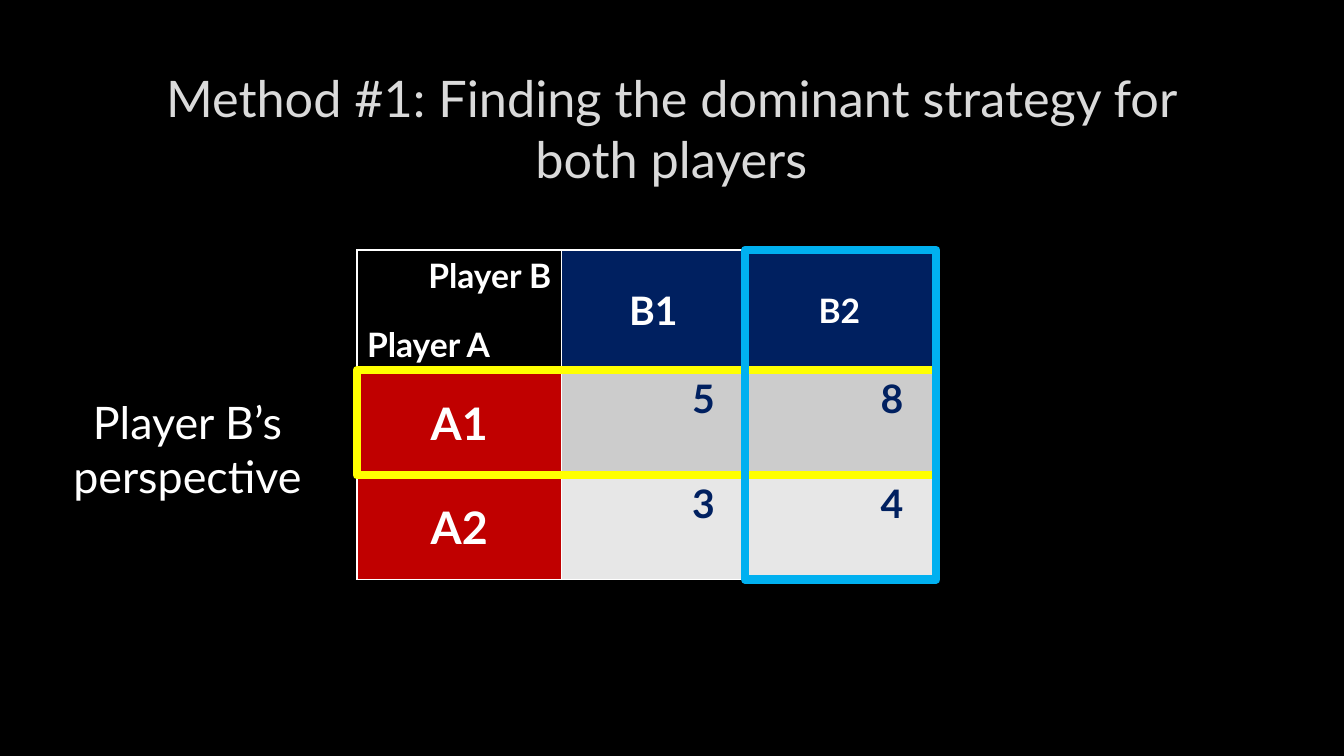
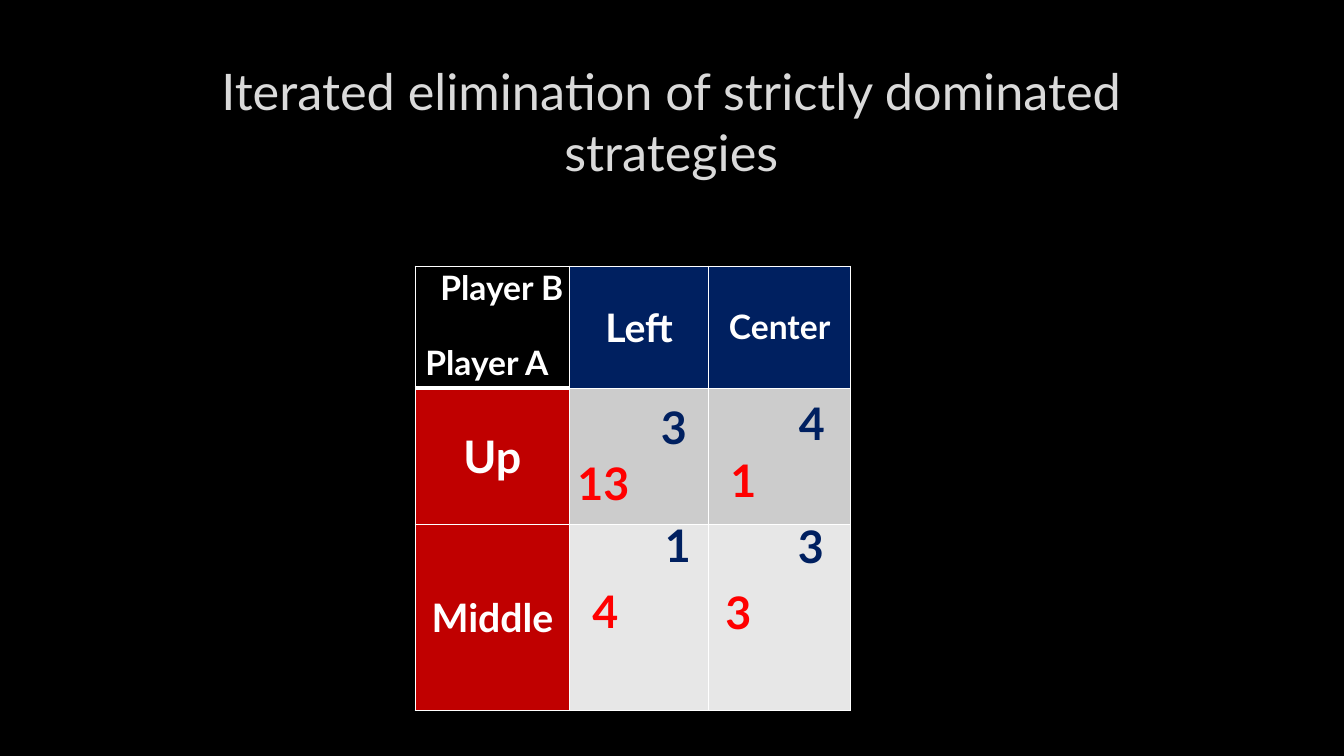
import pptx
import pptx.util
import pptx.dml.color
import pptx.enum.shapes
import pptx.enum.text
import pptx.oxml
import pptx.oxml.ns
from dataclasses import dataclass
from itertools import accumulate

ALIGN = pptx.enum.text.PP_ALIGN
ANCHOR = pptx.enum.text.MSO_ANCHOR


@dataclass(frozen=True)
class Theme:
    # Colours
    font: str = "Lato"
    back: str = "000000"
    title: str = "DADADA"
    light: str = "FFFFFF"
    player_a: str = "C00000"
    player_b: str = "002060"
    payoff_a: str = "FF0000"
    row_fills: tuple = ("CCCCCC", "E7E7E7")
    mark_row: str = "FFFF00"
    mark_col: str = "00B0F0"
    # Type sizes and line widths in points
    title_pt: int = 36
    large_pt: int = 32
    medium_pt: int = 28
    small_pt: int = 24
    mark_pt: int = 6
    rule_pt: float = 1
    thin_pt: float = 0.25
    thick_pt: float = 3


@dataclass
class Label:
    """Text of one table cell."""
    text: str
    size: int
    color: str = Theme.light
    align: ALIGN = ALIGN.CENTER
    anchor: ANCHOR = ANCHOR.MIDDLE


def rgb(value):
    return pptx.dml.color.RGBColor.from_string(value)


class Deck:
    """Holds the style and the current slide; lengths are percent of the slide."""

    def __init__(self, theme):
        self.t = theme
        self.prs = pptx.Presentation()
        self.prs.slide_width = pptx.util.Inches(13.33)
        self.prs.slide_height = pptx.util.Inches(7.5)
        fill = self.prs.slide_master.background.fill
        fill.solid()
        fill.fore_color.rgb = rgb(theme.back)
        self.slide = None

    def x(self, share):
        return round(self.prs.slide_width * share / 100)

    def y(self, share):
        return round(self.prs.slide_height * share / 100)

    def box(self, x, y, w, h):
        return self.x(x), self.y(y), self.x(w), self.y(h)

    def style_text(self, tf, text, size, color, bold=True, align=ALIGN.CENTER):
        tf.word_wrap = True
        p = tf.paragraphs[0]
        p.text = text
        p.alignment = align
        for r in p.runs:
            r.font.name = self.t.font
            r.font.size = pptx.util.Pt(size)
            r.font.bold = bold
            r.font.color.rgb = rgb(color)

    def new_slide(self, title, height):
        self.slide = self.prs.slides.add_slide(self.prs.slide_layouts[5])
        sp = self.slide.shapes.title
        sp.left, sp.top, sp.width, sp.height = self.box(7.5, 8.93, 84.9, height)
        tf = sp.text_frame
        tf.auto_size = pptx.enum.text.MSO_AUTO_SIZE.NONE
        tf.vertical_anchor = ANCHOR.MIDDLE
        tf.margin_left = tf.margin_right = pptx.util.Inches(0.2)
        self.style_text(tf, title, self.t.title_pt, self.t.title, bold=False)

    def text(self, x, y, w, h, text, size, color, **style):
        sp = self.slide.shapes.add_textbox(*self.box(x, y, w, h))
        self.style_text(sp.text_frame, text, size, color, **style)

    def highlight(self, x, y, w, h, color):
        sp = self.slide.shapes.add_shape(
            pptx.enum.shapes.MSO_SHAPE.RECTANGLE, *self.box(x, y, w, h))
        sp.shadow.inherit = False
        sp.fill.background()
        sp.line.color.rgb = rgb(color)
        sp.line.width = pptx.util.Pt(self.t.mark_pt)

    def borders(self, cell, top, bottom):
        tc_pr = cell._tc.get_or_add_tcPr()
        rule = self.t.rule_pt
        widths = {"lnL": rule, "lnR": rule, "lnT": top, "lnB": bottom}
        for i, (tag, width) in enumerate(widths.items()):
            tc_pr.insert(i, pptx.oxml.parse_xml(
                f'<a:{tag} {pptx.oxml.ns.nsdecls("a")} w="{pptx.util.Pt(width)}">'
                f'<a:solidFill><a:srgbClr val="{self.t.light}"/></a:solidFill>'
                f'</a:{tag}>'))

    def cell_fill(self, row, col):
        if row == 0:
            return self.t.player_b if col else self.t.back
        return self.t.row_fills[row - 1] if col else self.t.player_a

    def payoff_table(self, x, y, cols, rows, labels):
        """Draw the game matrix; labels maps (row, column) to a Label."""
        frame = self.slide.shapes.add_table(
            len(rows), len(cols), *self.box(x, y, sum(cols), sum(rows)))
        table = frame.table
        table.first_row = table.horz_banding = False
        for col, width in zip(table.columns, cols):
            col.width = self.x(width)
        for row, height in zip(table.rows, rows):
            row.height = self.y(height)
        for r in range(len(rows)):
            for c in range(len(cols)):
                cell = table.cell(r, c)
                cell.fill.solid()
                cell.fill.fore_color.rgb = rgb(self.cell_fill(r, c))
                header_rule = self.t.thin_pt if c else self.t.thick_pt
                self.borders(cell,
                             top=header_rule if r == 1 else self.t.rule_pt,
                             bottom=header_rule if r == 0 else self.t.rule_pt)
                label = labels.get((r, c))
                if label:
                    cell.vertical_anchor = label.anchor
                    if label.align == ALIGN.RIGHT:
                        cell.margin_right = pptx.util.Inches(0.3)
                    self.style_text(cell.text_frame, label.text, label.size,
                                    label.color, align=label.align)

    def player_b_label(self, x, y):
        self.text(x, y, 12.83, 6.67, "Player B", self.t.small_pt, self.t.light,
                  align=ALIGN.LEFT)


def headings(theme, columns, rows):
    """Corner, column and row headings; each heading is (text, size)."""
    labels = {(0, 0): Label("Player A", theme.small_pt, align=ALIGN.LEFT,
                            anchor=ANCHOR.BOTTOM)}
    labels.update({(0, c): Label(*head) for c, head in enumerate(columns, 1)})
    labels.update({(r, 0): Label(*head) for r, head in enumerate(rows, 1)})
    return labels


def dominant_strategy(deck):
    t = deck.t
    deck.new_slide("Method #1: Finding the dominant strategy for both players", 16)

    # Game matrix with the payoffs of player B
    left, top = 26.56, 33.07
    cols, rows = (15.23, 13.65, 14.03), (15.9, 13.9, 13.8)
    labels = headings(t, [("B1", t.medium_pt), ("B2", t.small_pt)],
                      [("A1", t.large_pt), ("A2", t.large_pt)])
    for r, payoffs in enumerate(("58", "34"), 1):
        for c, payoff in enumerate(payoffs, 1):
            labels[r, c] = Label(payoff, t.medium_pt, t.player_b,
                                 ALIGN.RIGHT, ANCHOR.TOP)
    deck.payoff_table(left, top, cols, rows, labels)
    deck.player_b_label(31.13, top)

    # Frames around the chosen row and column
    spill = 0.2
    col_edges = list(accumulate(cols, initial=left))
    row_edges = list(accumulate(rows, initial=top))
    deck.highlight(left, row_edges[1], sum(cols) + spill, rows[1], t.mark_row)
    deck.text(3.53, 51.6, 20.85, 15.73, "Player B’s perspective",
              t.large_pt, t.light, bold=False)
    deck.highlight(col_edges[2], top, cols[2] + spill, sum(rows), t.mark_col)


def iterated_elimination(deck):
    t = deck.t
    deck.new_slide("Iterated elimination of strictly dominated strategies", 14.13)

    # Game matrix
    deck.payoff_table(
        30.9, 35.2, (11.48, 10.35, 10.57), (16.1, 18.1, 24.6),
        headings(t, [("Left", t.medium_pt), ("Center", t.small_pt)],
                 [("Up", t.large_pt), ("Middle", t.medium_pt)]))
    deck.player_b_label(32.03, 34.67)

    # Payoffs: centre, top and value for each player
    payoffs = {
        t.player_b: [(50.14, 52.27, "3"), (60.41, 51.73, "4"),
                     (50.44, 67.87, "1"), (60.34, 68, "3")],
        t.payoff_a: [(44.89, 59.6, "13"), (55.31, 59.2, "1"),
                     (45.04, 76.53, "4"), (54.94, 76.67, "3")],
    }
    width = 6
    for color, values in payoffs.items():
        for centre, top, value in values:
            deck.text(centre - width / 2, top, width, 8.53, value,
                      t.large_pt, color)


def main():
    deck = Deck(Theme())
    dominant_strategy(deck)
    iterated_elimination(deck)
    deck.prs.save("out.pptx")


if __name__ == "__main__":
    main()
